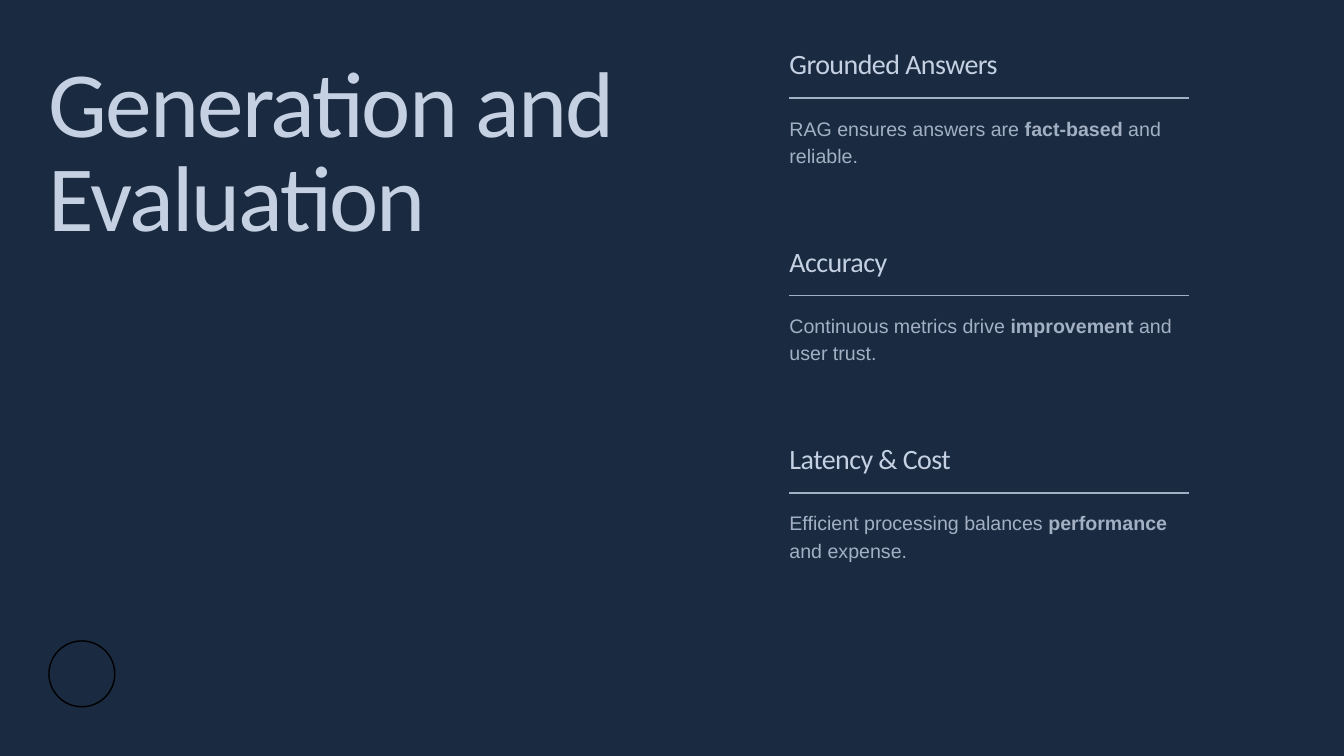
from pptx import Presentation
from pptx.dml.color import RGBColor
from pptx.enum.shapes import MSO_CONNECTOR, MSO_SHAPE
from pptx.enum.text import MSO_AUTO_SIZE
from pptx.oxml.ns import qn
from pptx.util import Cm, Pt
from lxml import etree

STRAIGHT = MSO_CONNECTOR.STRAIGHT
OVAL = MSO_SHAPE.OVAL
GROW = MSO_AUTO_SIZE.SHAPE_TO_FIT_TEXT

COLORS = {
    "background": "1A2A40",
    "heading": "C5D1E3",
    "body": "A3B0C3",
    "circle": "000000",
}

TOPICS = [
    ("Grounded Answers", ["RAG ensures answers are ", "fact-based", " and reliable."]),
    ("Accuracy", ["Continuous metrics drive ", "improvement", " and user trust."]),
    ("Latency & Cost", ["Efficient processing balances ", "performance", " and expense."]),
]
TOPIC_LEFT = 29.84
TOPIC_WIDTH = 15.11
TOPIC_TOP = 1.98
TOPIC_PITCH = 7.46


def color(name):
    return RGBColor.from_string(COLORS[name])


def add_text_box(shapes, left, top, width, height, line_spacing):
    shape = shapes.add_textbox(Cm(left), Cm(top), Cm(width), Cm(height))
    frame = shape.text_frame
    frame.margin_left = frame.margin_right = 0
    frame.margin_top = frame.margin_bottom = 0
    frame.word_wrap = True
    frame.auto_size = GROW
    paragraph = frame.paragraphs[0]
    paragraph.line_spacing = Pt(line_spacing)
    return paragraph


def format_run(run, font_name, size, color_name):
    run.font.name = font_name
    run.font.size = Pt(size)
    run.font.color.rgb = color(color_name)


def add_heading(shapes, text, left, top, width, height, size):
    paragraph = add_text_box(shapes, left, top, width, height, size)
    paragraph.text = text
    run = paragraph.runs[0]
    format_run(run, "Calibri", size, "heading")
    run._r.get_or_add_rPr().set("spc", str(-2 * size))


def add_body(shapes, parts, left, top, width, height):
    paragraph = add_text_box(shapes, left, top, width, height, 29.4)
    for index, part in enumerate(parts):
        run = paragraph.add_run()
        run.text = part
        format_run(run, "Arial", 21, "body")
        run.font.bold = index == 1


def add_rule(shapes, left, top, width):
    rule = shapes.add_connector(STRAIGHT, Cm(left), Cm(top), Cm(left + width), Cm(top))
    rule.line.color.rgb = color("body")
    rule.line.width = Pt(2)
    etree.SubElement(rule._element.spPr, qn("a:effectLst"))


def add_topic(slide, heading, parts, top):
    shapes = slide.shapes.add_group_shape().shapes
    add_heading(shapes, heading, TOPIC_LEFT, top, TOPIC_WIDTH, 1.09, 30)
    add_body(shapes, parts, TOPIC_LEFT, top + 2.28, TOPIC_WIDTH, 2.01)
    add_rule(shapes, TOPIC_LEFT, top + 1.73, TOPIC_WIDTH)


def add_circle(slide, left, top, diameter):
    circle = slide.shapes.add_shape(OVAL, Cm(left), Cm(top), Cm(diameter), Cm(diameter))
    circle.shadow.inherit = False
    circle.fill.background()
    circle.line.color.rgb = color("circle")
    circle.line.width = Pt(1.5)


def main():
    presentation = Presentation()
    presentation.slide_width = Cm(50.8)
    presentation.slide_height = Cm(28.58)
    slide = presentation.slides.add_slide(presentation.slide_layouts[6])
    slide.background.fill.solid()
    slide.background.fill.fore_color.rgb = color("background")

    add_heading(slide.shapes, "Generation and Evaluation", 1.85, 2.39, 23.11, 7.21, 100)
    for index, (heading, parts) in enumerate(TOPICS):
        add_topic(slide, heading, parts, TOPIC_TOP + index * TOPIC_PITCH)
    add_circle(slide, 1.85, 24.23, 2.49)

    presentation.save("out.pptx")


if __name__ == "__main__":
    main()
